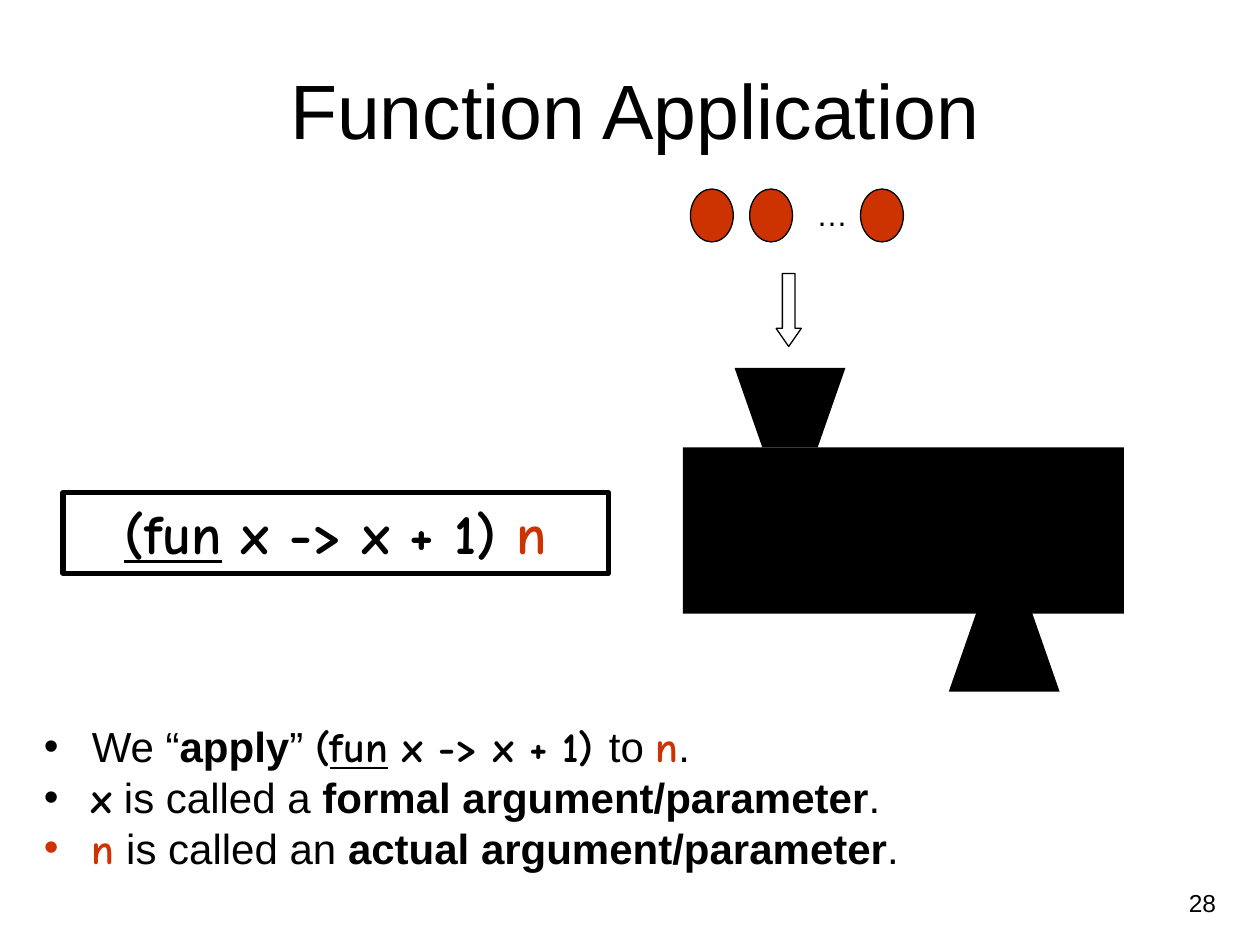
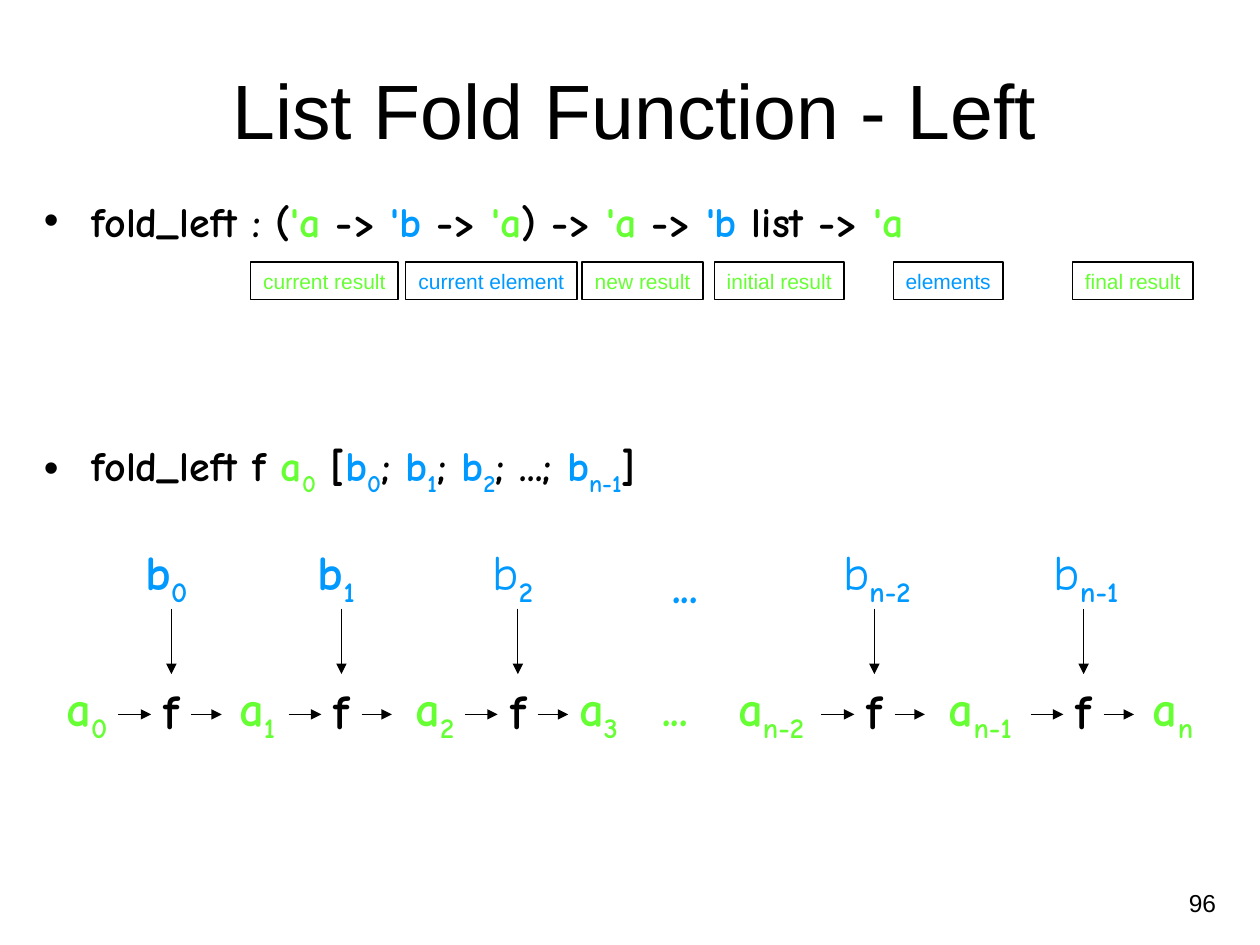
from lxml import etree
from pptx import Presentation
from pptx import util as u
from pptx.dml.color import RGBColor
from pptx.enum import shapes, text
from pptx.oxml import ns

Inches = u.Inches
BLACK, RED, GREEN, BLUE = "000000", "CC3300", "66FF33", "0099FF"
PROSE, CODE = "Arial", "Comic Neue"
CENTER, LEFT, RIGHT = text.PP_ALIGN.CENTER, text.PP_ALIGN.LEFT, text.PP_ALIGN.RIGHT
SHAPE = shapes.MSO_SHAPE
TOP_SIDE, LEFT_SIDE, RIGHT_SIDE = 0, 1, 3


def rgb(hex_color):
    """Turn a hex string into a colour."""
    return RGBColor.from_string(hex_color)


def prose(words, bold=False, color=BLACK):
    """Describe a run of ordinary text."""
    return dict(words=words, name=PROSE, color=color, bold=bold, underline=False, base=0)


def code(words, color=BLACK, bold=True, underline=False, base=0):
    """Describe a run of program text."""
    return dict(words=words, name=CODE, color=color, bold=bold, underline=underline, base=base)


def indexed(letter, index, color, bold=True):
    """Describe a letter followed by its subscript."""
    return [code(letter, color, bold), code(index, color, base=-25)]


def style_font(font, key, value):
    """Set one property of a font."""
    if key == "color":
        font.color.rgb = rgb(value)
    else:
        setattr(font, key, value)


def add_bullet(para, color):
    """Give a paragraph a hanging bullet."""
    props = para._p.get_or_add_pPr()
    props.set("marL", str(Inches(0.38)))
    props.set("indent", str(-Inches(0.38)))
    holder = etree.SubElement(props, ns.qn("a:buClr"))
    etree.SubElement(holder, ns.qn("a:srgbClr"), val=color)
    etree.SubElement(props, ns.qn("a:buFont"), typeface=PROSE)
    etree.SubElement(props, ns.qn("a:buChar"), char="•")


def write_para(para, runs, size, align):
    """Fill a paragraph, keeping shared styling on the paragraph."""
    para.alignment = align
    para.font.size = u.Pt(size)
    spans = [para.add_run() for _ in runs]
    for span, run in zip(spans, runs):
        span.text = run["words"]
        if run["base"]:
            span._r.get_or_add_rPr().set("baseline", str(run["base"] * 1000))
    for key in ("name", "color", "bold", "underline"):
        if all(run[key] == runs[0][key] for run in runs):
            style_font(para.font, key, runs[0][key])
        else:
            for span, run in zip(spans, runs):
                style_font(span.font, key, run[key])


def add_text(page, place, runs, size, align=CENTER, wrap=False):
    """Add a text box holding one paragraph."""
    box = page.shapes.add_textbox(*map(Inches, place))
    box.text_frame.word_wrap = wrap
    write_para(box.text_frame.paragraphs[0], runs, size, align)
    return box


def add_bullets(page, place, items, line_spacing=1.0):
    """Add a bulleted list."""
    box = page.shapes.add_textbox(*map(Inches, place))
    frame = box.text_frame
    frame.word_wrap = True
    for number, runs in enumerate(items):
        para = frame.add_paragraph() if number else frame.paragraphs[0]
        add_bullet(para, runs[0]["color"])
        para.line_spacing = line_spacing
        if number:
            para.space_before = u.Pt(6)
        write_para(para, runs, 24, LEFT)


def paint(shape, fill=None, line=None):
    """Set a shape's fill and line width, or leave them out."""
    shape.shadow.inherit = False
    if fill:
        shape.fill.solid()
        shape.fill.fore_color.rgb = rgb(fill)
    else:
        shape.fill.background()
    if line:
        shape.line.color.rgb = rgb(BLACK)
        shape.line.width = u.Pt(line)
    else:
        shape.line.fill.background()


def add_shape(page, kind, place, fill=None, line=None):
    """Add a preset shape."""
    shape = page.shapes.add_shape(kind, *map(Inches, place))
    paint(shape, fill, line)
    return shape


def add_framed_text(page, place, runs, size, line):
    """Add an outlined rectangle with centred text."""
    frame = add_shape(page, SHAPE.RECTANGLE, place, line=line).text_frame
    frame.word_wrap = False
    frame.vertical_anchor = text.MSO_ANCHOR.TOP
    write_para(frame.paragraphs[0], runs, size, CENTER)


def add_funnel(page, left, wide_y, narrow_y):
    """Add a black trapezoid that narrows towards the machine."""
    points = [(left, wide_y), (left + 0.88, wide_y),
              (left + 0.66, narrow_y), (left + 0.22, narrow_y)]
    corners = [(Inches(x), Inches(y)) for x, y in points]
    builder = page.shapes.build_freeform(*corners[0], scale=1.0)
    builder.add_line_segments(corners[1:], close=True)
    paint(builder.convert_to_shape(), BLACK)


def add_arrow(page, start, end):
    """Add a thin line with an arrowhead at its end."""
    arrow = page.shapes.add_connector(shapes.MSO_CONNECTOR.STRAIGHT, *map(Inches, start + end))
    arrow.line.color.rgb = rgb(BLACK)
    arrow.line.width = u.Pt(0.75)
    etree.SubElement(arrow.line._get_or_add_ln(), ns.qn("a:tailEnd"), type="triangle")
    etree.SubElement(arrow._element.spPr, ns.qn("a:effectLst"))
    return arrow


def add_label(page, center, top, runs):
    """Add a large label centred on a horizontal position."""
    add_text(page, (center - 0.37, top, 0.74, 0.63), runs, 28)


def add_fold_step(page, center):
    """Add one call of f with its two inputs and its output."""
    middle = 5.67
    call = add_text(page, (center - 0.16, 5.35, 0.32, 0.64), [code("f")], 28)
    add_arrow(page, (center, 4.83), (center, 5.35)).end_connect(call, TOP_SIDE)
    add_arrow(page, (center - 0.42, middle), (center - 0.16, middle)).end_connect(call, LEFT_SIDE)
    add_arrow(page, (center + 0.16, middle), (center + 0.4, middle)).begin_connect(call, RIGHT_SIDE)


def add_page(deck, title, number):
    """Add a blank slide with its title and number."""
    page = deck.slides.add_slide(deck.slide_layouts[6])
    heading = add_text(page, (0.25, 0.3, 9.58, 1.12), [prose(title)], 44, wrap=True)
    heading.text_frame.vertical_anchor = text.MSO_ANCHOR.MIDDLE
    add_text(page, (7.42, 7, 2.33, 0.35), [prose(str(number))], 14, RIGHT, wrap=True)
    return page


def build_application(deck):
    """Build the slide on function application."""
    page = add_page(deck, "Function Application", 28)
    add_bullets(page, (0.25, 5.75, 9.58, 1.33), [
        [prose("We “"), prose("apply", True), prose("” "), code("("),
         code("fun", underline=True), code(" x -> x + 1) "), prose("to "),
         code("n", RED), prose(".")],
        [code("x"), prose(" is called a "), prose("formal argument/parameter", True), prose(".")],
        [code("n", RED), prose(" is called an "),
         prose("actual argument/parameter", True), prose(".")],
    ], 0.8)
    add_shape(page, SHAPE.RECTANGLE, (5.42, 3.55, 3.5, 1.32), BLACK)
    add_funnel(page, 5.83, 2.92, 3.55)
    add_funnel(page, 7.53, 5.49, 4.86)
    for left in (5.48, 5.95, 6.83):
        add_shape(page, SHAPE.OVAL, (left, 1.5, 0.34, 0.42), RED, 0.75)
    add_text(page, (6.38, 1.5, 0.45, 0.4), [prose("…")], 18)
    arrow = add_shape(page, SHAPE.DOWN_ARROW, (6.16, 2.17, 0.2, 0.58), line=0.75)
    arrow.adjustments[1] = 0.72
    add_framed_text(page, (0.5, 3.91, 4.33, 0.64), [
        code("(fun", underline=True), code(" x -> x + 1) "), code("n", RED)], 32, 3)


def build_fold(deck):
    """Build the slide on folding a list from the left."""
    page = add_page(deck, "List Fold Function - Left", 96)
    result, element, to = code("'a", GREEN), code("'b", BLUE), code(" -> ")
    add_bullets(page, (0.25, 1.5, 9.67, 0.5), [
        [code("fold_left : ("), result, to, element, to, result, code(") -> "),
         result, to, element, code(" list -> "), result]])

    call = [code("fold_left f "), *indexed("a", "0", GREEN), code(" [")]
    for index, mark in (("0", "; "), ("1", "; "), ("2", "; ...; "), ("n-1", "]")):
        call += [*indexed("b", index, BLUE), code(mark)]
    add_bullets(page, (0.25, 3.44, 9.67, 0.5), [call])

    for left, width, words, color in (
            (1.99, 1.17, "current result", GREEN), (3.22, 1.36, "current element", BLUE),
            (4.62, 0.96, "new result", GREEN), (5.67, 1.03, "initial result", GREEN),
            (7.09, 0.87, "elements", BLUE), (8.51, 0.96, "final result", GREEN)):
        add_framed_text(page, (left, 2.08, width, 0.3), [prose(words, color=color)], 12, 0.75)

    for center, label_center, index, bold in (
            (1.36, 1.32, "0", True), (2.71, 2.67, "1", True), (4.11, 4.07, "2", False),
            (6.94, 6.96, "n-2", False), (8.6, 8.62, "n-1", False)):
        add_fold_step(page, center)
        add_label(page, label_center, 4.25, indexed("b", index, BLUE, bold))
    for center, index in ((0.69, "0"), (2.04, "1"), (3.45, "2"), (4.75, "3"),
                          (6.12, "n-2"), (7.78, "n-1"), (9.31, "n")):
        add_label(page, center, 5.33, indexed("a", index, GREEN))
    add_label(page, 5.36, 5.33, [code("...", GREEN)])
    add_label(page, 5.44, 4.35, [code("...", BLUE)])


def main():
    """Build and save the deck."""
    deck = Presentation()
    deck.slide_width, deck.slide_height = Inches(10), Inches(7.5)
    build_application(deck)
    build_fold(deck)
    deck.save("out.pptx")


if __name__ == "__main__":
    main()
